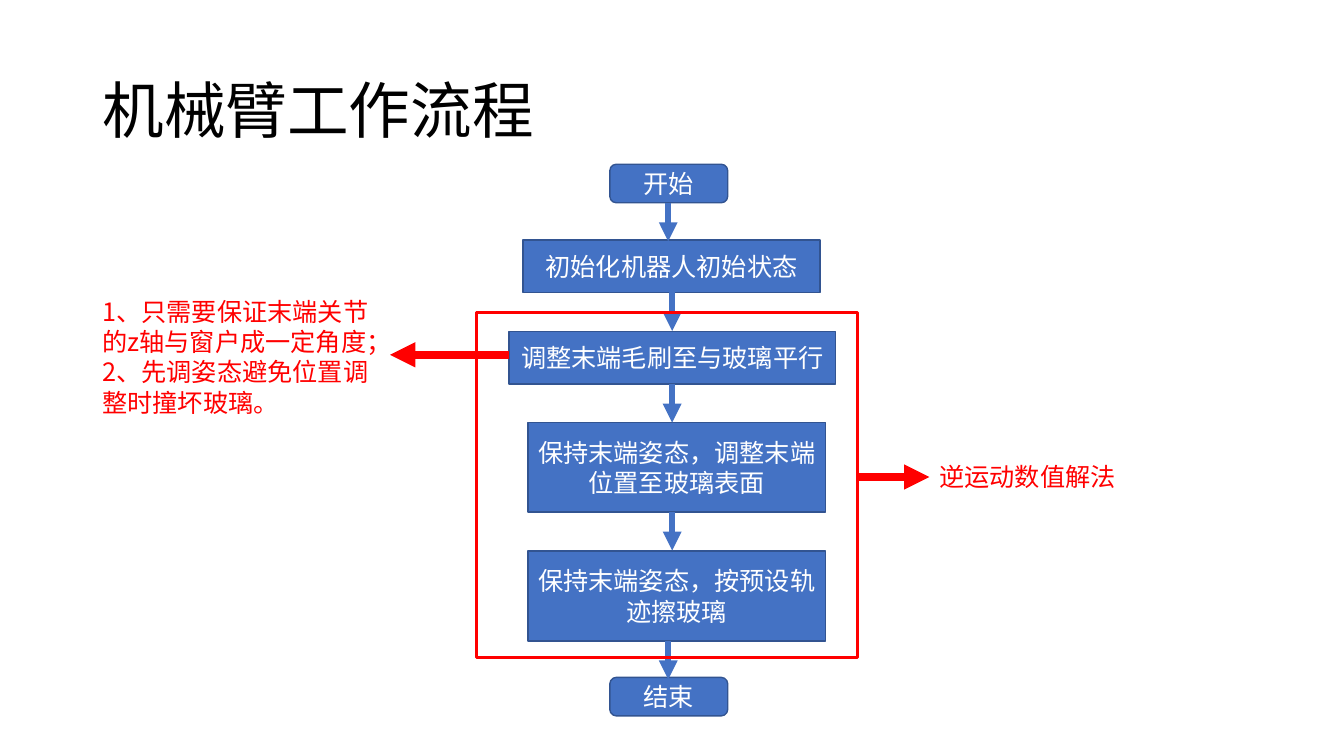
from lxml.etree import SubElement
from pptx import Presentation
from pptx.dml.color import RGBColor
from pptx.enum.shapes import MSO_CONNECTOR, MSO_SHAPE
from pptx.enum.text import MSO_ANCHOR, MSO_AUTO_SIZE, PP_ALIGN
from pptx.oxml.ns import qn
from pptx.util import Cm, Pt

COLOURS = {
    "step": "4472C4",
    "outline": "325491",
    "note": "FF0000",
    "title": "000000",
    "step_text": "FFFFFF",
}
FONT = "Noto Sans CJK SC"
ARROW_LENGTH = 0.97
STEPS = [
    ("开始", MSO_SHAPE.FLOWCHART_ALTERNATE_PROCESS, (3.36, 0, 2.97, 0.97), 4.83),
    ("初始化机器人初始状态", MSO_SHAPE.RECTANGLE, (1.17, 1.91, 7.49, 1.32), 4.93),
    ("调整末端毛刷至与玻璃平行", MSO_SHAPE.RECTANGLE, (0.82, 4.22, 8.23, 1.32), 4.93),
    ("保持末端姿态，调整末端位置至玻璃表面", MSO_SHAPE.RECTANGLE, (1.3, 6.5, 7.49, 2.26), 4.93),
    ("保持末端姿态，按预设轨迹擦玻璃", MSO_SHAPE.RECTANGLE, (1.3, 9.75, 7.49, 2.26), 4.83),
    ("结束", MSO_SHAPE.FLOWCHART_ALTERNATE_PROCESS, (3.36, 12.93, 2.97, 0.97), None),
]


def colour(name):
    return RGBColor.from_string(COLOURS[name])


def format_text(frame, size, colour_name, align, line_spacing=1.0):
    for para in frame.paragraphs:
        para.alignment = align
        para.line_spacing = line_spacing
        for span in para.runs:
            span.font.size = Pt(size)
            span.font.name = FONT
            span.font.color.rgb = colour(colour_name)
            properties = span.font._element
            SubElement(properties, qn("a:ea")).set("typeface", FONT)


def add_arrow(page, start, end, colour_name, weight):
    arrow = page.shapes.add_connector(
        MSO_CONNECTOR.STRAIGHT, *(Cm(value) for value in (*start, *end))
    )
    arrow.line.color.rgb = colour(colour_name)
    arrow.line.width = Pt(weight)
    SubElement(arrow.line._get_or_add_ln(), qn("a:tailEnd")).set("type", "triangle")
    SubElement(arrow._element.spPr, qn("a:effectLst"))


def add_box(page, kind, area, line_colour, weight):
    box = page.shapes.add_shape(kind, *(Cm(value) for value in area))
    box.shadow.inherit = False
    box.line.color.rgb = colour(line_colour)
    box.line.width = Pt(weight)
    return box


def add_title(page, area):
    title = page.shapes.title
    title.left, title.top, title.width, title.height = (Cm(value) for value in area)
    frame = title.text_frame
    frame.text = "机械臂工作流程"
    frame.vertical_anchor = MSO_ANCHOR.MIDDLE
    frame.auto_size = MSO_AUTO_SIZE.NONE
    format_text(frame, 44, "title", PP_ALIGN.LEFT, 0.9)


def add_flow(page, left, top):
    for text, kind, (x, y, width, height), arrow_x in STEPS:
        area = (left + x, top + y, width, height)
        box = add_box(page, kind, area, "outline", 1)
        box.fill.solid()
        box.fill.fore_color.rgb = colour("step")
        frame = box.text_frame
        frame.text = text
        frame.word_wrap = True
        frame.vertical_anchor = MSO_ANCHOR.MIDDLE
        format_text(frame, 18, "step_text", PP_ALIGN.CENTER)
    for text, kind, (x, y, width, height), arrow_x in STEPS:
        if arrow_x is not None:
            start = (left + arrow_x, top + y + height)
            end = (start[0], start[1] + ARROW_LENGTH)
            add_arrow(page, start, end, "step", 4.5)


def add_frame(page, area):
    frame_box = add_box(page, MSO_SHAPE.RECTANGLE, area, "note", 2.25)
    frame_box.fill.background()


def add_note(page, area, text, arrow_start, arrow_end):
    add_arrow(page, arrow_start, arrow_end, "note", 6)
    note = page.shapes.add_textbox(*(Cm(value) for value in area))
    frame = note.text_frame
    frame.word_wrap = True
    frame.text = text
    frame.auto_size = MSO_AUTO_SIZE.SHAPE_TO_FIT_TEXT
    format_text(frame, 18, "note", PP_ALIGN.LEFT)


def main():
    deck = Presentation()
    deck.slide_width, deck.slide_height = Cm(33.87), Cm(19.05)
    page = deck.slides.add_slide(deck.slide_layouts[5])
    add_title(page, (2.33, 1.01, 29.21, 3.68))
    add_flow(page, 12.01, 4.14)
    add_frame(page, (12.01, 7.87, 9.6, 8.71))
    add_note(page, (23.42, 11.51, 6.07, 1.02), "逆运动数值解法",
             (21.61, 12.02), (23.42, 12.02))
    add_note(page, (2.33, 7.34, 7.57, 3.33),
             "1、只需要保证末端关节的z轴与窗户成一定角度；\n2、先调姿态避免位置调整时撞坏玻璃。",
             (12.83, 8.94), (9.83, 8.94))
    deck.save("out.pptx")


if __name__ == "__main__":
    main()
